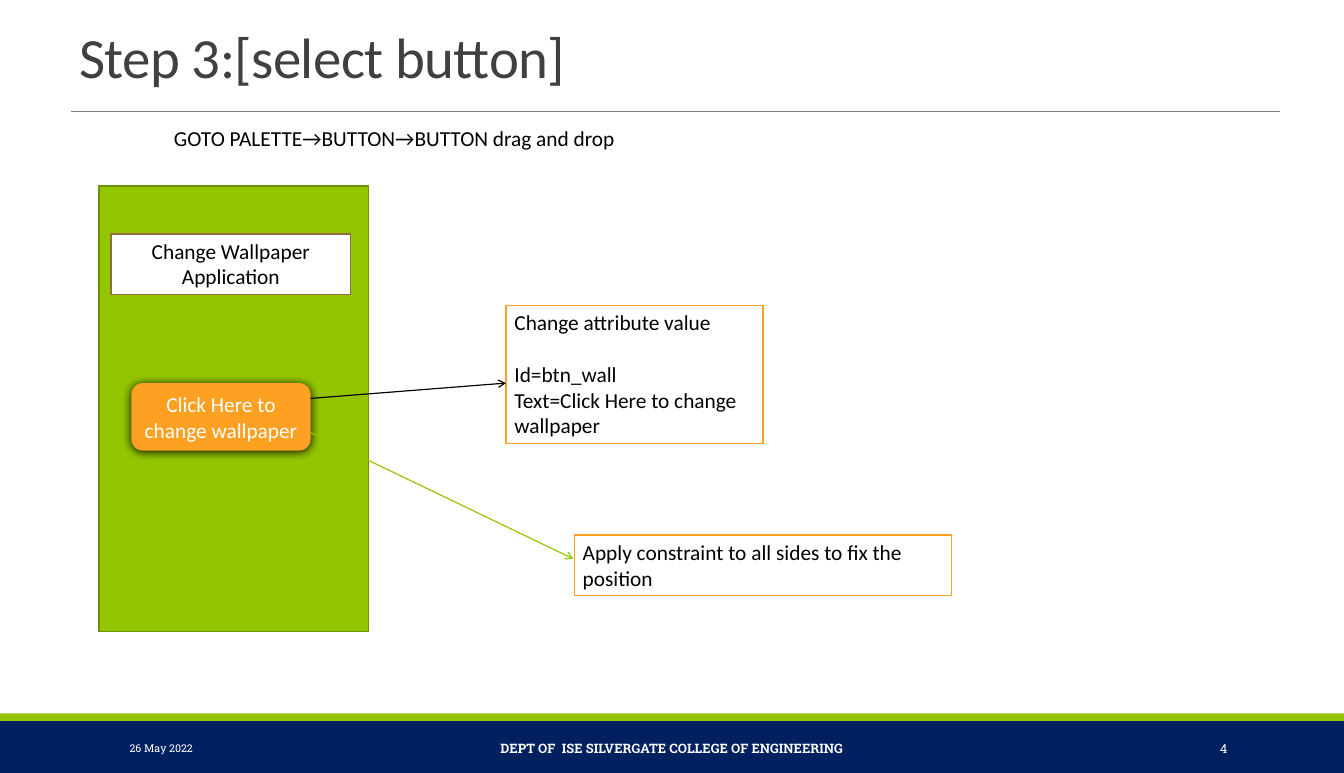
from lxml.etree import SubElement
from pptx import Presentation
from pptx.dml.color import RGBColor
from pptx.enum.shapes import MSO_CONNECTOR as LINE, MSO_SHAPE as SHAPE
from pptx.enum.text import MSO_ANCHOR as ANCHOR, PP_ALIGN as ALIGN
from pptx.oxml.ns import qn
from pptx.util import Inches, Pt

COLORS = {
    "navy": "002060", "green": "94C600", "dark_green": "6D9200",
    "orange": "FEA022", "brown": "956B43", "gray": "808080",
    "title": "404040", "black": "000000", "white": "FFFFFF",
}
BODY = {"name": "Calibri", "size": Pt(18)}
FOOTER = {"name": "Roboto Slab", "size": Pt(9)}


def write(shape, lines, font, color="black", align=ALIGN.LEFT, anchor=ANCHOR.TOP):
    frame = shape.text_frame
    frame.word_wrap = True
    frame.vertical_anchor = anchor
    frame.text = "\n".join(lines)
    for paragraph in frame.paragraphs:
        paragraph.alignment = align
        for run in paragraph.runs:
            for key, value in font.items():
                setattr(run.font, key, value)
            run.font.color.rgb = RGBColor.from_string(COLORS[color])
    return frame


def add_box(kind, box, fill, border=None):
    shape = slide.shapes.add_shape(kind, *map(Inches, box))
    shape.shadow.inherit = False
    shape.fill.solid()
    shape.fill.fore_color.rgb = RGBColor.from_string(COLORS[fill])
    if border:
        shape.line.color.rgb = RGBColor.from_string(COLORS[border])
        shape.line.width = Pt(1.25)
    else:
        shape.line.fill.background()
    return shape


prs = Presentation()
prs.slide_width, prs.slide_height = Inches(15.75), Inches(9.06)
slide = prs.slides.add_slide(prs.slide_layouts[6])

# Footer bands and their texts
add_box(SHAPE.RECTANGLE, (0, 8.45, 15.75, 0.61), "navy")
add_box(SHAPE.RECTANGLE, (0, 8.36, 15.75, 0.09), "green")
for left, width, text, align, extra in [
    (1.42, 3.19, "26 May 2022", ALIGN.LEFT, {}),
    (4.76, 6.23, "DEPT OF  ISE SILVERGATE COLLEGE OF ENGINEERING", ALIGN.CENTER,
     {"size": Pt(11), "bold": True}),
    (12.79, 1.69, "4", ALIGN.RIGHT, {"size": Pt(10.5)}),
]:
    note = slide.shapes.add_textbox(Inches(left), Inches(8.53), Inches(width), Inches(0.48))
    write(note, [text], {**FOOTER, **extra}, "white", align, ANCHOR.MIDDLE)

# Title and instruction
title = slide.shapes.add_textbox(Inches(0.83), Inches(0.15), Inches(12.49), Inches(0.95))
heading = write(title, ["Step 3:[select button]"], {"name": "Calibri", "size": Pt(48)},
                "title", anchor=ANCHOR.BOTTOM).paragraphs[0]
heading.line_spacing = 0.85
heading.runs[0].font._element.set("spc", "-50")
instruction = slide.shapes.add_textbox(Inches(1.94), Inches(1.42), Inches(5.45), Inches(0.4))
write(instruction, ["GOTO PALETTE→BUTTON→BUTTON drag and drop"], BODY)

# Phone screen with app name and button
add_box(SHAPE.RECTANGLE, (1.16, 2.18, 3.16, 5.22), "green", "dark_green")
app_name = add_box(SHAPE.RECTANGLE, (1.3, 2.74, 2.81, 0.71), "white", "brown")
write(app_name, ["Change Wallpaper Application"], BODY, align=ALIGN.CENTER)
button = add_box(SHAPE.ROUNDED_RECTANGLE, (1.54, 4.49, 2.1, 0.79), "orange")
write(button, ["Click Here to change wallpaper"], BODY, "white", ALIGN.CENTER, ANCHOR.MIDDLE)
effects = button._element.spPr.find(qn("a:effectLst"))
shadow = SubElement(effects, qn("a:outerShdw"), blurRad=str(Pt(8.5)), dist=str(Pt(1)),
                    dir="5400000", rotWithShape="0")
SubElement(shadow, qn("a:srgbClr"), val=COLORS["black"])

# Explanations
attributes = add_box(SHAPE.RECTANGLE, (5.93, 3.58, 3.01, 1.62), "white", "orange")
attribute_text = write(attributes, ["Change attribute value", "Id=btn_wall",
                                    "Text=Click Here to change wallpaper"], BODY)
attribute_text.paragraphs[0].space_after = Pt(22)
constraint = add_box(SHAPE.RECTANGLE, (6.73, 6.27, 4.42, 0.71), "white", "orange")
write(constraint, ["Apply constraint to all sides to fix the position"], BODY)

# Title rule and arrows from the button
for ends, color, width, arrow in [
    ((0.83, 1.31, 15, 1.31), "gray", 0.5, False),
    ((3.64, 4.67, 5.93, 4.49), "black", 1, True),
    ((3.64, 5.07, 6.72, 6.55), "green", 1, True),
]:
    line = slide.shapes.add_connector(LINE.STRAIGHT, *map(Inches, ends))
    line.line.color.rgb = RGBColor.from_string(COLORS[color])
    line.line.width = Pt(width)
    if arrow:
        SubElement(line.line._get_or_add_ln(), qn("a:tailEnd"), type="arrow")
    SubElement(line._element.spPr, qn("a:effectLst"))

prs.save("out.pptx")
